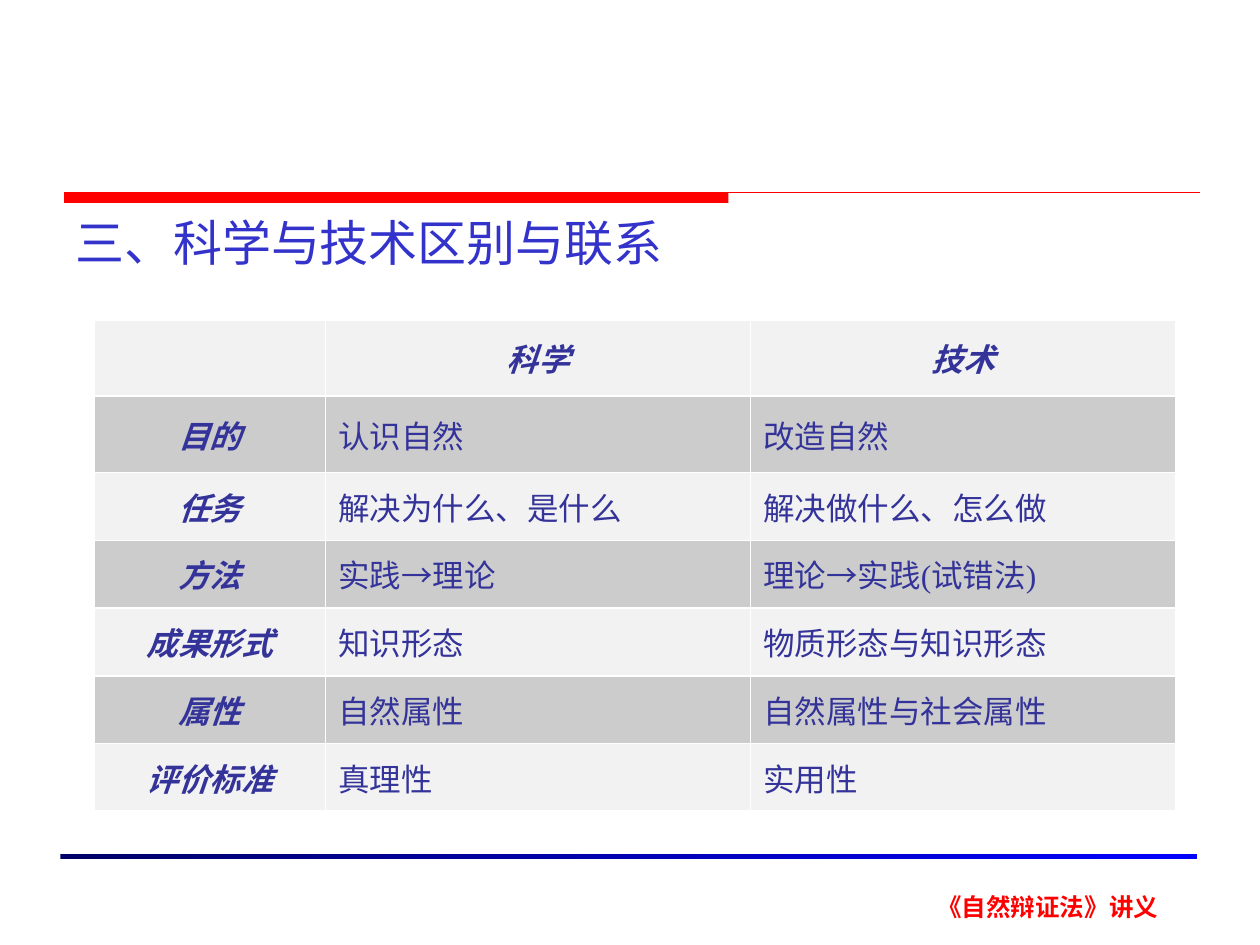
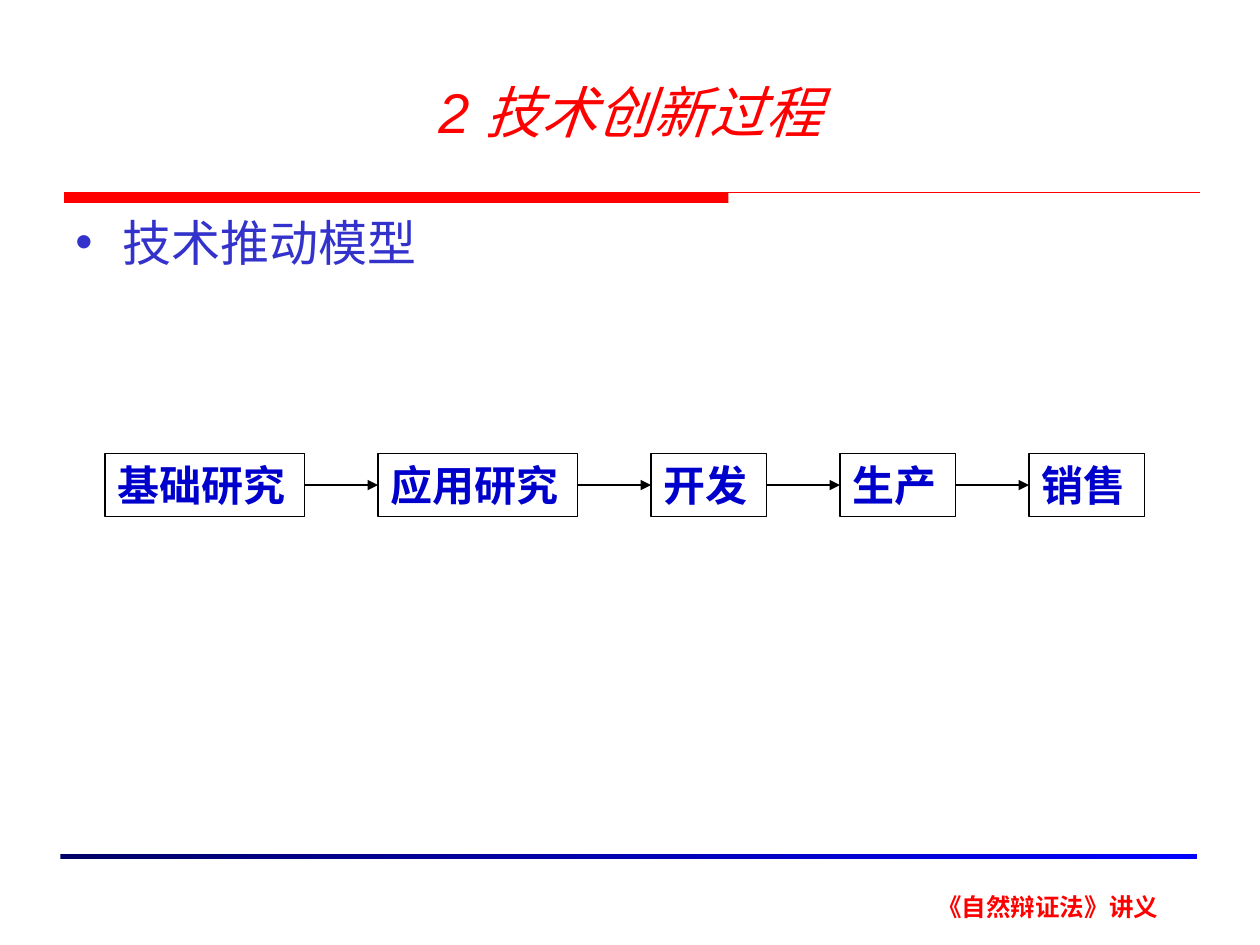
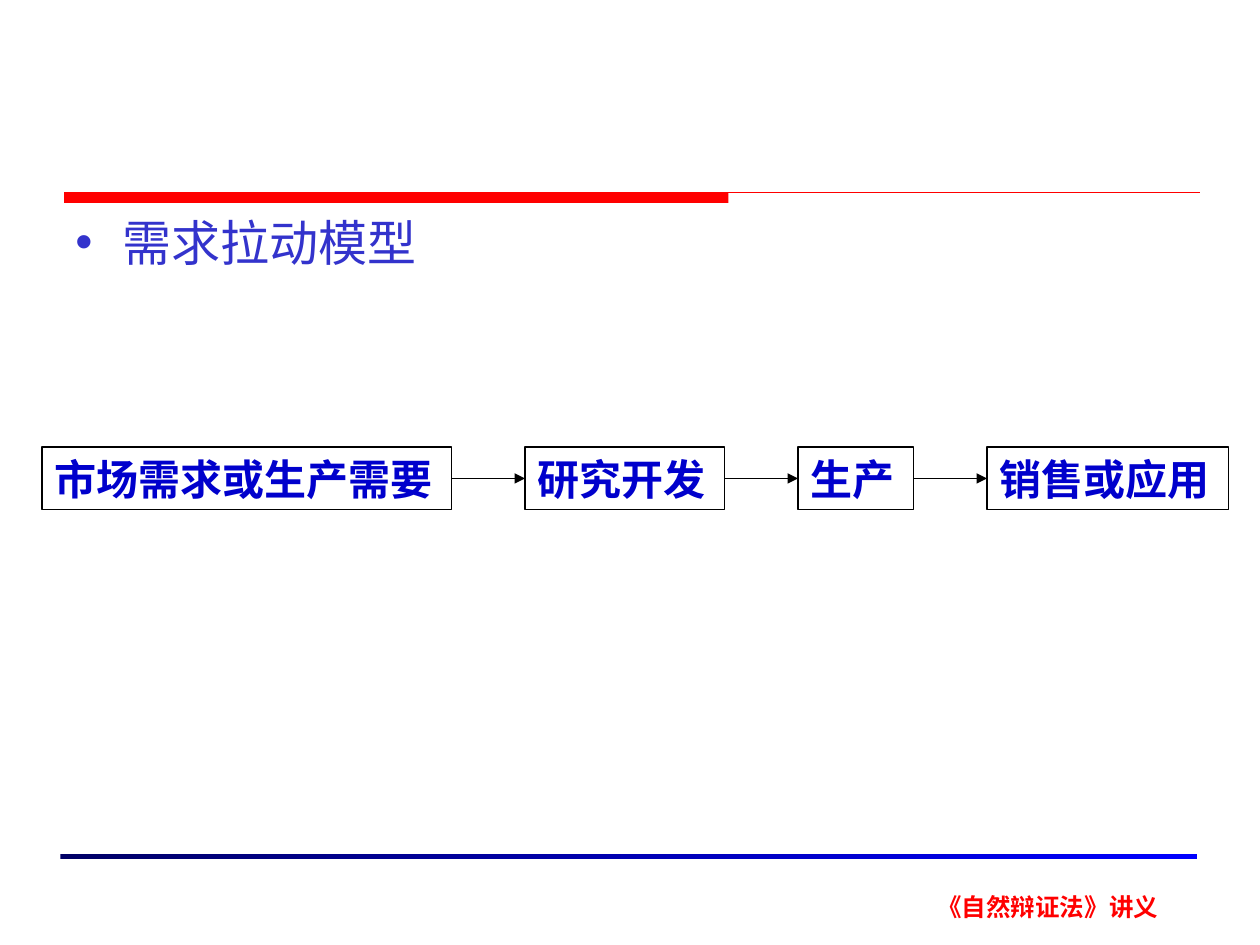
"""Build three lecture slides on science, technology and innovation models."""
from lxml import etree
from pptx import Presentation
from pptx import util as u
from pptx.dml import color
from pptx.enum import shapes, text
from pptx.oxml import ns

COLORS = {
    "red": "FF0000", "heading": "3333CC", "step": "0000CC", "cell": "333399",
    "light": "F2F2F2", "dark": "CCCCCC", "white": "FFFFFF", "black": "000000",
    "navy": "000066", "blue": "0000FF",
}
ALIGN = text.PP_ALIGN
ANCHOR = text.MSO_ANCHOR
COMPARISON = [
    ("", "科学", "技术"),
    ("目的", "认识自然", "改造自然"),
    ("任务", "解决为什么、是什么", "解决做什么、怎么做"),
    ("方法", "实践→理论", "理论→实践(试错法)"),
    ("成果形式", "知识形态", "物质形态与知识形态"),
    ("属性", "自然属性", "自然属性与社会属性"),
    ("评价标准", "真理性", "实用性"),
]


def rgb(name):
    return color.RGBColor.from_string(COLORS[name])


def add_xml(parent, tag, **attributes):
    return etree.SubElement(parent, ns.qn(tag), attributes)


def write(frame, words, size=18, font="Arial", tint="black", bold=False, italic=False,
          align=ALIGN.LEFT, before=0, hanging=0, bullet=None):
    para = frame.paragraphs[0]
    para.alignment = align
    para.space_before = u.Pt(before)
    span = para.add_run()
    span.text = words
    span.font.size = u.Pt(size)
    span.font.name = font
    span.font.bold = bold
    span.font.italic = italic
    span.font.color.rgb = rgb(tint)
    if hanging:
        props = para._p.get_or_add_pPr()
        props.set("marL", str(u.Pt(hanging)))
        props.set("indent", str(-u.Pt(hanging)))
        if bullet:
            add_xml(add_xml(props, "a:buClr"), "a:srgbClr", val=COLORS[tint])
            add_xml(props, "a:buFont", typeface=font)
            add_xml(props, "a:buChar", char=bullet)


class Lecture:
    def __init__(self):
        self.deck = Presentation()
        self.deck.slide_width = u.Pt(720)
        self.deck.slide_height = u.Pt(540)
        self.page = None

    def start_page(self):
        self.page = self.deck.slides.add_slide(self.deck.slide_layouts[6])
        self.text_box("《自然辩证法》讲义", 528.5, 506, 140.5, 24.5, wrap=False,
                      size=14, tint="red", bold=True, align=ALIGN.CENTER)
        bar = self.rectangle(36.75, 110, 379.5, 6)
        bar.fill.solid()
        bar.fill.fore_color.rgb = rgb("red")
        self.line(36.75, 110, 685.5, 110, "red")
        band = self.rectangle(34.5, 488, 649.5, 3)
        band.fill.gradient()
        band.fill.gradient_angle = 0
        for stop, name in zip(band.fill.gradient_stops, ("navy", "blue")):
            stop.color.rgb = rgb(name)

    def text_box(self, words, left, top, width, height, wrap=True, anchor=ANCHOR.TOP, **style):
        box = self.page.shapes.add_textbox(u.Pt(left), u.Pt(top), u.Pt(width), u.Pt(height))
        box.text_frame.word_wrap = wrap
        box.text_frame.vertical_anchor = anchor
        write(box.text_frame, words, **style)

    def title(self, words):
        self.text_box(words, 36, 28, 648, 70.5, anchor=ANCHOR.MIDDLE, size=32,
                      tint="red", italic=True, align=ALIGN.CENTER)

    def heading(self, words, bullet=None):
        self.text_box(words, 36, 118, 648, 368.5, size=28, tint="heading",
                      before=7, hanging=27, bullet=bullet)

    def rectangle(self, left, top, width, height):
        box = self.page.shapes.add_shape(shapes.MSO_SHAPE.RECTANGLE, u.Pt(left), u.Pt(top),
                                         u.Pt(width), u.Pt(height))
        box.shadow.inherit = False
        box.fill.background()
        box.line.fill.background()
        return box

    def line(self, x1, y1, x2, y2, tint="black"):
        line = self.page.shapes.add_connector(shapes.MSO_CONNECTOR.STRAIGHT, u.Pt(x1), u.Pt(y1),
                                              u.Pt(x2), u.Pt(y2))
        line.line.color.rgb = rgb(tint)
        line.line.width = u.Pt(0.75)
        add_xml(line._element.spPr, "a:effectLst")
        return line

    def step(self, words, left, top, width, height):
        box = self.rectangle(left, top, width, height)
        box.line.color.rgb = rgb("black")
        box.line.width = u.Pt(0.75)
        frame = box.text_frame
        frame.word_wrap = True
        frame.auto_size = text.MSO_AUTO_SIZE.SHAPE_TO_FIT_TEXT
        frame.vertical_anchor = ANCHOR.TOP
        write(frame, words, size=24, font="Times New Roman", tint="step", bold=True, before=15)
        return box

    def arrow(self, source, target):
        arrow = self.line(0, 0, 0, 0)
        arrow.begin_connect(source, 3)
        arrow.end_connect(target, 1)
        add_xml(arrow.line._get_or_add_ln(), "a:tailEnd", type="triangle")

    def flow(self, steps, left, top, height=36, gap=42):
        previous = None
        for words in steps:
            width = 18 + 24 * len(words)
            box = self.step(words, left, top, width, height)
            if previous:
                self.arrow(previous, box)
            previous = box
            left += width + gap

    def table(self, rows, left, top, widths, heights):
        frame = self.page.shapes.add_table(len(rows), len(widths), u.Pt(left), u.Pt(top),
                                           u.Pt(sum(widths)), u.Pt(sum(heights)))
        table = frame.table
        for column, width in zip(table.columns, widths):
            column.width = u.Pt(width)
        for r, (row, height) in enumerate(zip(rows, heights)):
            table.rows[r].height = u.Pt(height)
            for c, words in enumerate(row):
                self.cell(table.cell(r, c), words, label=r == 0 or c == 0,
                          shade="dark" if r % 2 else "light")

    def cell(self, cell, words, label, shade):
        cell.vertical_anchor = ANCHOR.MIDDLE
        if words:
            write(cell.text_frame, words, font="Times New Roman", tint="cell", bold=label,
                  italic=label, align=ALIGN.CENTER if label else ALIGN.LEFT)
        props = cell._tc.get_or_add_tcPr()
        for side in ("a:lnL", "a:lnR", "a:lnT", "a:lnB"):
            border = add_xml(props, side, w=str(u.Pt(0.96)))
            add_xml(add_xml(border, "a:solidFill"), "a:srgbClr", val=COLORS["white"])
        cell.fill.solid()
        cell.fill.fore_color.rgb = rgb(shade)


def main():
    lecture = Lecture()

    lecture.start_page()
    lecture.heading("三、科学与技术区别与联系")
    lecture.table(COMPARISON, 54, 183, [132, 243, 243], [43.2, 43.9] + [38.7] * 5)

    lecture.start_page()
    lecture.heading("技术推动模型", bullet="•")
    lecture.title("2 技术创新过程")
    lecture.flow(["基础研究", "应用研究", "开发", "生产", "销售"], 60, 259.2)

    lecture.start_page()
    lecture.heading("需求拉动模型", bullet="•")
    lecture.flow(["市场需求或生产需要", "研究开发", "生产", "销售或应用"], 24, 255.4)

    lecture.deck.save("out.pptx")


if __name__ == "__main__":
    main()
